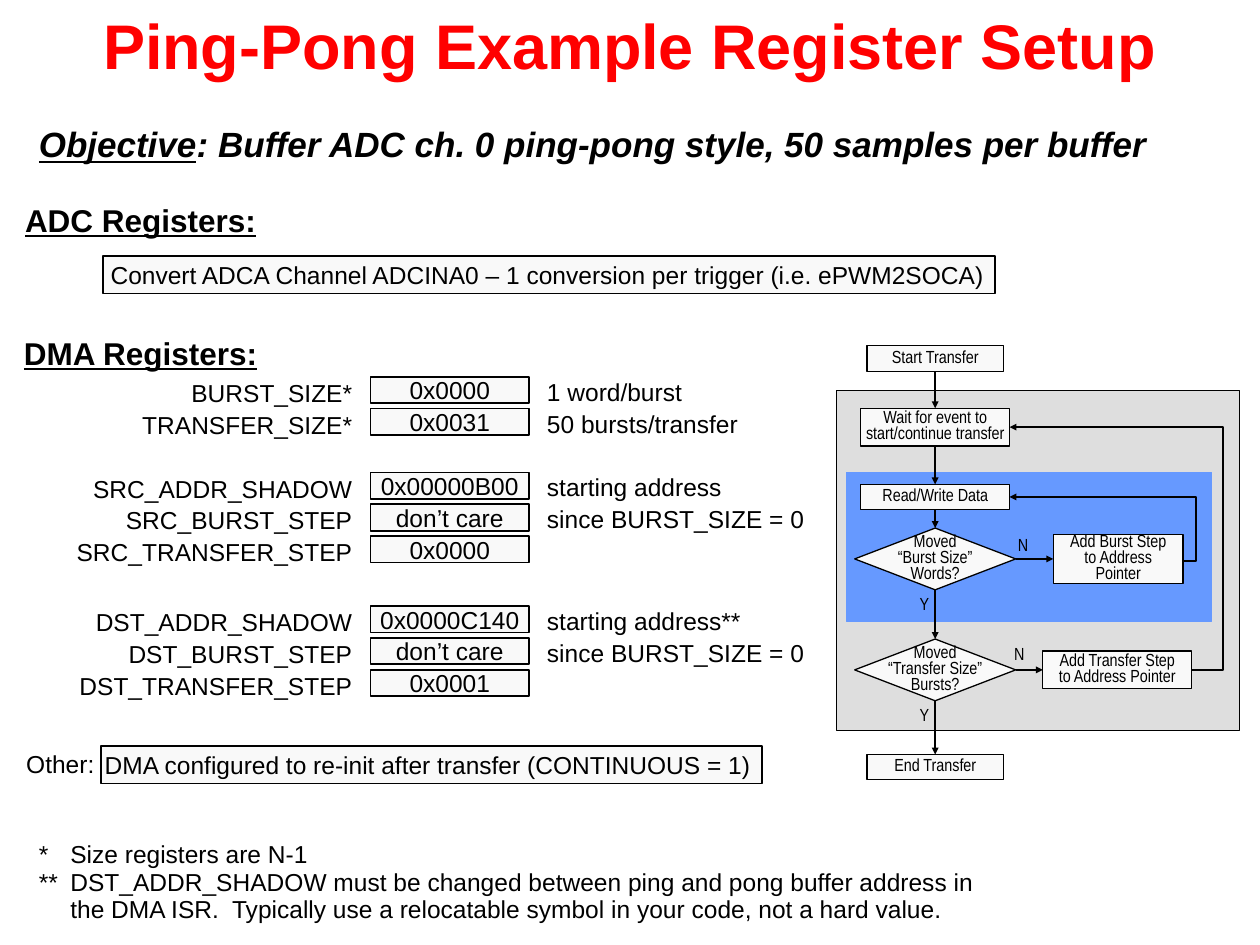
from dataclasses import dataclass
from typing import NamedTuple, Optional

from lxml import etree
from pptx import Presentation
from pptx.dml.color import RGBColor
from pptx.enum import shapes, text
from pptx.oxml.ns import qn
from pptx.util import Pt

TOP, LEFT, BOTTOM, RIGHT = range(4)
ALIGN, ANCHOR = text.PP_ALIGN, text.MSO_ANCHOR
RECT, DIAMOND = shapes.MSO_SHAPE.RECTANGLE, shapes.MSO_SHAPE.DIAMOND


class Style(NamedTuple):
    size: float
    font: str = "Arial"
    color: str = "000000"
    bold: bool = False
    italic: bool = False
    underline: bool = False
    spacing: float = 1.0


@dataclass(frozen=True)
class Theme:
    ink: str = "000000"
    box: str = "F9F9F9"
    outer_loop: str = "DEDEDE"
    inner_loop: str = "6699FF"
    title: Style = Style(36, color="FF0000", bold=True)
    objective: Style = Style(20, bold=True, italic=True, spacing=0.8)
    heading: Style = Style(18, bold=True, underline=True, spacing=0.8)
    body: Style = Style(14)
    footnote: Style = Style(14, spacing=0.9)
    flow: Style = Style(10, "Arial Narrow", spacing=0.75)


class Box(NamedTuple):
    left: float
    top: float
    width: float
    height: float


class Register(NamedTuple):
    name: str
    value: str
    note: str = ""


class Step(NamedTuple):
    words: str
    x: float  # centre
    y: float  # centre
    width: float
    height: float
    kind: shapes.MSO_SHAPE = RECT


THEME = Theme()
ROW_PITCH = 18.2
MAIN_X = 534.4
REGISTER_GROUPS = {
    215.3: [Register("BURST_SIZE*", "0x0000", "1 word/burst"),
            Register("TRANSFER_SIZE*", "0x0031", "50 bursts/transfer")],
    270: [Register("SRC_ADDR_SHADOW", "0x00000B00", "starting address"),
          Register("SRC_BURST_STEP", "don’t care", "since BURST_SIZE = 0"),
          Register("SRC_TRANSFER_STEP", "0x0000")],
    346.3: [Register("DST_ADDR_SHADOW", "0x0000C140", "starting address**"),
            Register("DST_BURST_STEP", "don’t care", "since BURST_SIZE = 0"),
            Register("DST_TRANSFER_STEP", "0x0001")],
}
STEPS = {
    "start": Step("Start Transfer", MAIN_X, 204.8, 77.8, 15),
    "wait": Step("Wait for event to\nstart/continue transfer", MAIN_X, 244.1, 85, 21.6),
    "read": Step("Read/Write Data", MAIN_X, 284, 85, 14.4),
    "burst": Step("Moved\n“Burst Size”\nWords?", MAIN_X, 319.4, 92, 35.3, DIAMOND),
    "transfer": Step("Moved\n“Transfer Size”\nBursts?", MAIN_X, 382.8, 92, 35.3, DIAMOND),
    "end": Step("End Transfer", MAIN_X, 438.4, 77.8, 14.4),
    "add_burst": Step("Add Burst Step\nto Address\nPointer", 639, 319.4, 74.2, 28.1),
    "add_transfer": Step("Add Transfer Step\nto Address Pointer", 638.4, 382.8, 85, 21.6),
}
MAIN_FLOW = ["start", "wait", "read", "burst", "transfer", "end"]
BRANCHES = [("burst", "add_burst"), ("transfer", "add_transfer")]
ANSWERS = [("Y", 518.4, 401.8), ("Y", 518.4, 338.4), ("N", 574.6, 304.6), ("N", 572.4, 366.5)]


def write(shape, words: str, style: Style, align=ALIGN.LEFT, anchor=ANCHOR.TOP,
          wrap: bool = True, inset: Optional[float] = None, hanging: float = 0) -> None:
    """Fill a shape with one paragraph per line of words."""
    frame = shape.text_frame
    frame.word_wrap, frame.vertical_anchor = wrap, anchor
    if inset is not None:
        frame.margin_left = frame.margin_right = Pt(inset)
        frame.margin_top = frame.margin_bottom = 0
    for number, line in enumerate(words.split("\n")):
        paragraph = frame.add_paragraph() if number else frame.paragraphs[0]
        paragraph.add_run().text = line
        paragraph.alignment, paragraph.line_spacing = align, style.spacing
        if hanging:
            properties = paragraph._p.get_or_add_pPr()
            properties.set("marL", str(Pt(hanging)))
            properties.set("indent", str(-Pt(hanging)))
        font = paragraph.font
        font.name, font.size = style.font, Pt(style.size)
        font.bold, font.italic, font.underline = style.bold, style.italic, style.underline
        font.color.rgb = RGBColor.from_string(style.color)


def add_text(slide, box: Box, words: str, style: Style, **layout):
    label = slide.shapes.add_textbox(*map(Pt, box))
    write(label, words, style, **layout)
    return label


def set_line(shape, color: str, width: float) -> None:
    shape.line.color.rgb = RGBColor.from_string(color)
    shape.line.width = Pt(width)


def add_box(slide, box: Box, fill: str = THEME.box, line: str = THEME.ink,
            width: float = 1, kind=RECT):
    shape = slide.shapes.add_shape(kind, *map(Pt, box))
    shape.shadow.inherit = False
    shape.fill.solid()
    shape.fill.fore_color.rgb = RGBColor.from_string(fill)
    set_line(shape, line, width)
    return shape


def add_arrowhead(shape) -> None:
    set_line(shape, THEME.ink, 1)
    outline = shape._element.spPr.find(qn("a:ln"))
    etree.SubElement(outline, qn("a:tailEnd"), type="triangle", w="sm", len="sm")


def connect(slide, source, source_side: int, target, target_side: int,
            kind=shapes.MSO_CONNECTOR.STRAIGHT):
    arrow = slide.shapes.add_connector(kind, 0, 0, 0, 0)
    arrow.begin_connect(source, source_side)
    arrow.end_connect(target, target_side)
    add_arrowhead(arrow)
    etree.SubElement(arrow._element.spPr, qn("a:effectLst"))
    return arrow


def add_step(slide, step: Step):
    box = Box(step.x - step.width / 2, step.y - step.height / 2, step.width, step.height)
    shape = add_box(slide, box, width=0.75, kind=step.kind)
    write(shape, step.words, THEME.flow, ALIGN.CENTER, ANCHOR.MIDDLE, wrap=False, inset=0)
    return shape


def add_register(slide, top: float, register: Register) -> None:
    add_text(slide, Box(28.5, top - 2.9, 180, 24), register.name, THEME.body, align=ALIGN.RIGHT)
    value = add_box(slide, Box(211.7, top, 90.7, 15.1))
    write(value, register.value, THEME.body, ALIGN.CENTER, ANCHOR.MIDDLE, wrap=False, inset=0)
    if register.note:
        add_text(slide, Box(305.5, top - 3.6, 166, 24), register.note, THEME.body)


def add_flowchart(slide) -> None:
    add_box(slide, Box(478, 223.2, 230.4, 194.4), THEME.outer_loop, width=0.75)
    add_box(slide, Box(483.8, 270, 208.8, 85), THEME.inner_loop, THEME.inner_loop, 0.5)
    steps = {key: add_step(slide, step) for key, step in STEPS.items()}
    for source, target in zip(MAIN_FLOW, MAIN_FLOW[1:]):
        connect(slide, steps[source], BOTTOM, steps[target], TOP)
    for source, target in BRANCHES:
        connect(slide, steps[source], RIGHT, steps[target], LEFT)

    burst_loop = slide.shapes.build_freeform(Pt(676.1), Pt(320.4))
    burst_loop.add_line_segments(
        [(Pt(x), Pt(y)) for x, y in [(683.3, 320.4), (683.3, 284), (576.9, 284)]], close=False)
    burst_return = burst_loop.convert_to_shape()
    burst_return.shadow.inherit = False
    burst_return.fill.background()
    add_arrowhead(burst_return)

    transfer_return = connect(slide, steps["add_transfer"], RIGHT, steps["wait"], RIGHT,
                              shapes.MSO_CONNECTOR.ELBOW)
    geometry = transfer_return._element.spPr.find(qn("a:prstGeom"))
    guides = geometry.find(qn("a:avLst"))
    etree.SubElement(guides, qn("a:gd"), name="adj1", fmla="val -17300")

    for answer, left, top in ANSWERS:
        add_text(slide, Box(left, top, 20.2, 16.6), answer, THEME.flow, wrap=False)


def main() -> None:
    deck = Presentation()
    deck.slide_width, deck.slide_height = Pt(720), Pt(540)
    slide = deck.slides.add_slide(deck.slide_layouts[6])

    add_text(slide, Box(0, 0, 720, 58.3), "Ping-Pong Example Register Setup", THEME.title,
             align=ALIGN.CENTER)
    objective = add_text(slide, Box(15.1, 71.3, 690, 26.6), "Objective", THEME.objective)
    lead = objective.text_frame.paragraphs[0]
    lead.runs[0].font.underline = True
    lead.add_run().text = ": Buffer ADC ch. 0 ping-pong style, 50 samples per buffer"

    for heading, top in [("ADC Registers:", 115.5), ("DMA Registers:", 191.5)]:
        add_text(slide, Box(2.3, top, 156, 24.5), heading, THEME.heading,
                 align=ALIGN.CENTER, wrap=False)
    for box, words, inset in [
        (Box(59, 146.2, 509.8, 21.6),
         "Convert ADCA Channel ADCINA0 – 1 conversion per trigger (i.e. ePWM2SOCA)", 4.2),
        (Box(57.6, 426.2, 378, 21.6),
         "DMA configured to re-init after transfer (CONTINUOUS = 1)", 2.2),
    ]:
        write(add_box(slide, box), words, THEME.body, anchor=ANCHOR.MIDDLE, wrap=False, inset=inset)
    add_text(slide, Box(7.9, 424.4, 77, 24), "Other:", THEME.body)

    for first_top, registers in REGISTER_GROUPS.items():
        for row, register in enumerate(registers):
            add_register(slide, first_top + row * ROW_PITCH, register)

    add_flowchart(slide)

    add_text(slide, Box(15.1, 475.9, 562.3, 24), "*\tSize registers are N-1", THEME.body, hanging=18)
    add_text(slide, Box(15.1, 493.9, 562.3, 37.4),
             "**\tDST_ADDR_SHADOW must be changed between ping and pong buffer address in "
             "the DMA ISR.  Typically use a relocatable symbol in your code, not a hard value.",
             THEME.footnote, hanging=18)
    deck.save("out.pptx")


if __name__ == "__main__":
    main()
